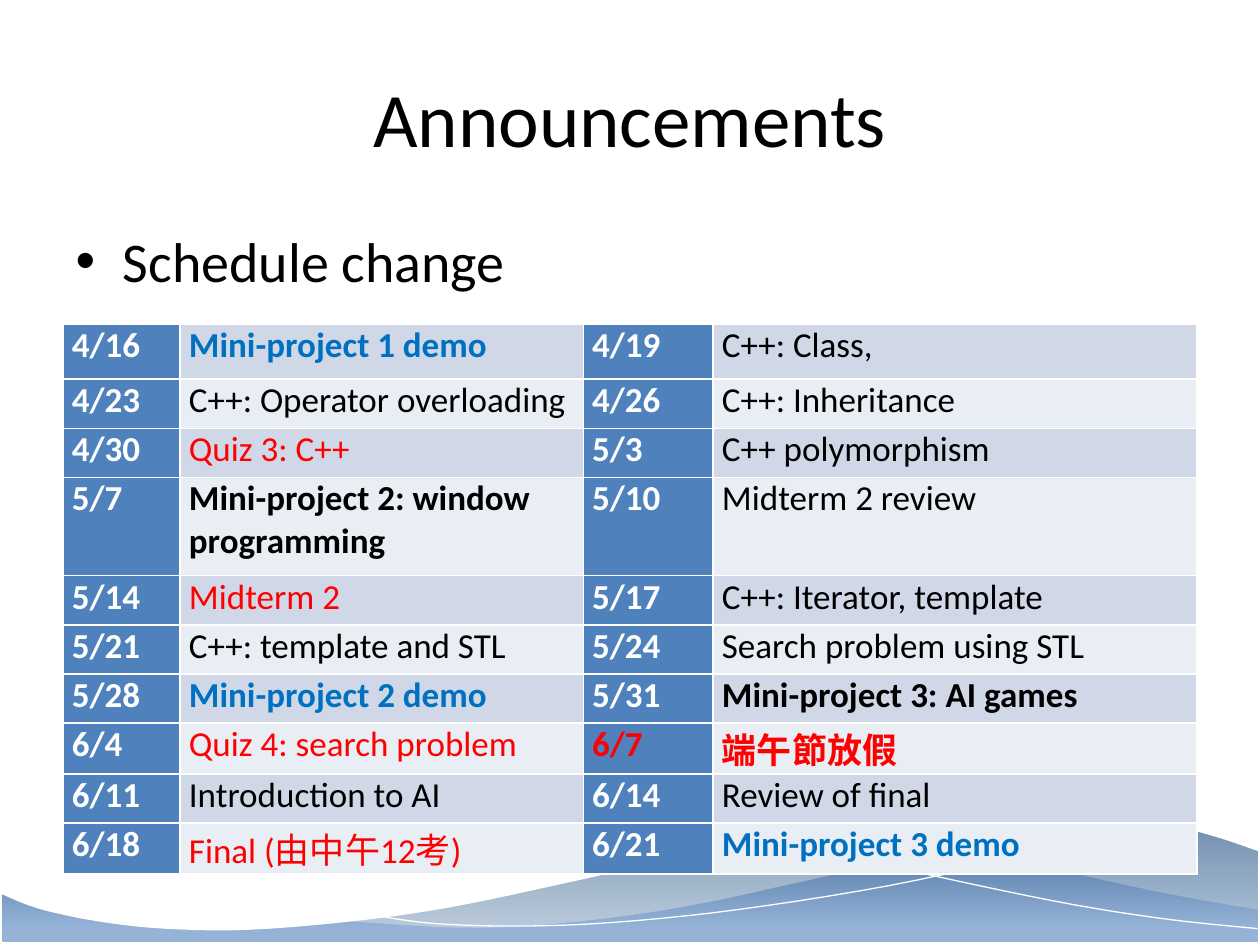
from dataclasses import dataclass

from lxml.etree import SubElement
from pptx import Presentation
from pptx.dml.color import RGBColor
from pptx.enum.shapes import MSO_SHAPE
from pptx.enum.text import MSO_ANCHOR
from pptx.oxml.ns import qn
from pptx.util import Inches, Pt


@dataclass(frozen=True)
class Theme:
    font: str = "Calibri"
    title_size: int = 44
    body_size: int = 32
    table_size: int = 20
    black: str = "000000"
    white: str = "FFFFFF"
    red: str = "FF0000"
    blue: str = "0070C0"
    date_fill: str = "4F81BD"
    bands: tuple = ("D0D8E8", "E9EDF4")
    sea_top: str = "376092"
    sea_bottom: str = "95B3D7"
    mist: str = "EEECE1"


@dataclass(frozen=True)
class Box:
    """An area on the slide grid of 10 columns by 7.5 rows, one inch each."""
    left: float
    top: float
    width: float
    height: float

    def at(self, column, row):
        return Inches(self.left + column), Inches(self.top + row)

    def frame(self):
        return (*self.at(0, 0), Inches(self.width), Inches(self.height))


THEME = Theme()
TITLE = Box(0.5, 0.3, 9, 1.25)
BODY = Box(0.5, 1.75, 9, 4.95)
SCHEDULE = Box(0.5, 2.57, 9, 4.33)
FOOTER = Box(0, 6, 10, 1.5)

# Entry kind: colour, bold
KINDS = {
    "lesson": (THEME.black, False),
    "exam": (THEME.red, False),
    "project": (THEME.black, True),
    "demo": (THEME.blue, True),
    "holiday": (THEME.red, True),
}
COLUMNS = (0.93, 3.2, 1.03, 3.84)
ROW = 0.39
ENTRIES = [
    (("4/16", "Mini-project 1 demo", "demo"), ("4/19", "C++: Class,", "lesson")),
    (("4/23", "C++: Operator overloading", "lesson"), ("4/26", "C++: Inheritance", "lesson")),
    (("4/30", "Quiz 3: C++", "exam"), ("5/3", "C++ polymorphism", "lesson")),
    (("5/7", "Mini-project 2: window programming", "project"),
     ("5/10", "Midterm 2 review", "lesson")),
    (("5/14", "Midterm 2", "exam"), ("5/17", "C++: Iterator, template", "lesson")),
    (("5/21", "C++: template and STL", "lesson"), ("5/24", "Search problem using STL", "lesson")),
    (("5/28", "Mini-project 2 demo", "demo"), ("5/31", "Mini-project 3: AI games", "project")),
    (("6/4", "Quiz 4: search problem", "exam"), ("6/7", "端午節放假", "holiday")),
    (("6/11", "Introduction to AI", "lesson"), ("6/14", "Review of final", "lesson")),
    (("6/18", "Final (由中午12考)", "exam"), ("6/21", "Mini-project 3 demo", "demo")),
]

# Wave strokes, in columns and rows from the footer's corner
RIGHT_MIST = [
    [(9.99, 1.22), (9.41, 1.12), (8.78, 0.99), (7.92, 0.79), (7.16, 0.65), (6.69, 0.57)],
    [(6.69, 0.57), (7.29, 0.49), (7.82, 0.45), (8.4, 0.45), (8.9, 0.48), (9.41, 0.57),
     (9.71, 0.65), (9.99, 0.75)],
]
LEFT_MIST = [
    [(9.12, 0.49), (8.22, 0.62), (7.53, 0.74), (6.35, 1), (5.57, 1.17), (4.88, 1.28),
     (4.16, 1.35), (3.54, 1.36), (2.76, 1.31)],
    [(2.76, 1.31), (3.55, 1.19), (4.47, 1), (5.31, 0.82), (6.06, 0.67), (6.73, 0.56),
     (7.47, 0.47), (8.1, 0.43), (8.65, 0.44), (9.12, 0.49)],
]
LONG_LINE = [[(3, 1.27), (3.45, 1.33), (4.12, 1.35), (4.88, 1.32), (5.85, 1.22),
              (7.05, 1.03), (8.09, 0.8), (9.27, 0.5)]]
SHORT_LINE = [[(6.19, 0.65), (6.8, 0.81), (7.59, 0.99), (8.52, 1.18), (9.3, 1.3), (9.98, 1.37)]]
WHITE_COVER = [
    [(10, 0.76), (9.61, 0.63), (9.18, 0.53), (8.67, 0.47), (8.07, 0.46), (7.37, 0.5),
     (6.54, 0.6), (5.57, 0.77), (4.44, 1.02), (3.58, 1.2), (2.82, 1.31), (1.97, 1.38),
     (1.29, 1.37), (0.76, 1.31), (0.3, 1.21), (0, 1.09)],
    [(0, -0.07), (10, -0.07)],
]


def color(code):
    return RGBColor.from_string(code)


def style(paragraph, size, code, bold=False):
    font = paragraph.font
    font.name, font.size, font.bold = THEME.font, Pt(size), bold
    font.color.rgb = color(code)


def smooth(stroke, steps=5):
    """Run a Catmull-Rom curve through the points of a stroke."""
    padded = [stroke[0], *stroke, stroke[-1]]
    curve = [stroke[0]]
    for a, b, c, d in zip(padded, padded[1:], padded[2:], padded[3:]):
        for step in range(1, steps + 1):
            t = step / steps
            curve.append(tuple(
                q + t / 2 * (r - p + t * (2 * p - 5 * q + 4 * r - s
                                          + t * (3 * (q - r) + s - p)))
                for p, q, r, s in zip(a, b, c, d)))
    return curve


def add_wave(slide, box, strokes, fill=None, alpha=None):
    """Draw a filled wave, or a white hairline when no fill is given."""
    start, *rest = [box.at(*point) for stroke in strokes for point in smooth(stroke)]
    builder = slide.shapes.build_freeform(*start)
    builder.add_line_segments(rest, close=fill is not None)
    wave = builder.convert_to_shape()
    wave.shadow.inherit = False
    if fill is None:
        wave.fill.background()
        wave.line.color.rgb = color(THEME.white)
        wave.line.width = Pt(0)
        return
    wave.fill.solid()
    wave.fill.fore_color.rgb = color(fill)
    wave.line.fill.background()
    if alpha:
        rgb = wave.fill._xPr.find(".//" + qn("a:srgbClr"))
        SubElement(rgb, qn("a:alpha"), val=str(alpha * 1000))


def add_footer(slide, box):
    # Blue sea
    sea = slide.shapes.add_shape(MSO_SHAPE.ROUNDED_RECTANGLE, *box.at(0.02, 0.43),
                                 Inches(box.width - 0.03), Inches(1.05))
    sea.adjustments[0] = 0.03
    sea.shadow.inherit = False
    sea.line.fill.background()
    sea.fill.gradient()
    sea.fill.gradient_angle = 270
    stops = zip(sea.fill.gradient_stops, (THEME.sea_top, THEME.sea_bottom), (0, 0.9))
    for stop, code, position in stops:
        stop.color.rgb, stop.position = color(code), position
    # Waves
    add_wave(slide, box, RIGHT_MIST, THEME.mist, 29)
    add_wave(slide, box, LEFT_MIST, THEME.mist, 40)
    add_wave(slide, box, LONG_LINE)
    add_wave(slide, box, SHORT_LINE)
    add_wave(slide, box, WHITE_COVER, THEME.white)


def fill_placeholder(slide, holder, box, text, size):
    holder.left, holder.top, holder.width, holder.height = box.frame()
    holder.text_frame.text = text
    style(holder.text_frame.paragraphs[0], size, THEME.black)
    slide.shapes._spTree.append(holder._element)  # in front of the footer


def fill_cell(cell, text, background, code, bold):
    cell.margin_left = cell.margin_right = Inches(0.07)
    cell.margin_top = cell.margin_bottom = 0
    cell.vertical_anchor = MSO_ANCHOR.TOP
    cell.text = text
    style(cell.text_frame.paragraphs[0], THEME.table_size, code, bold)
    for side in ("lnL", "lnR", "lnT", "lnB"):
        border = SubElement(cell._tc.get_or_add_tcPr(), qn(f"a:{side}"), w=str(Pt(1)))
        SubElement(SubElement(border, qn("a:solidFill")), qn("a:srgbClr"), val=THEME.white)
    cell.fill.solid()
    cell.fill.fore_color.rgb = color(background)


def add_schedule(slide, box):
    table = slide.shapes.add_table(len(ENTRIES), len(COLUMNS), *box.frame()).table
    table.first_row = table.horz_banding = False
    for column, width in zip(table.columns, COLUMNS):
        column.width = Inches(width)
    for index, entries in enumerate(ENTRIES):
        # The first row is a little taller; the two-line entry takes two rows
        table.rows[index].height = Inches({0: 0.44, 3: 2 * ROW}.get(index, ROW))
        for pair, (date, text, kind) in enumerate(entries):
            code, bold = KINDS[kind]
            date_color = THEME.red if kind == "holiday" else THEME.white
            fill_cell(table.cell(index, 2 * pair), date, THEME.date_fill, date_color, True)
            fill_cell(table.cell(index, 2 * pair + 1), text, THEME.bands[index % 2], code, bold)


def main():
    deck = Presentation()
    deck.slide_width, deck.slide_height = Inches(10), Inches(7.5)
    slide = deck.slides.add_slide(deck.slide_layouts[1])
    add_footer(slide, FOOTER)
    fill_placeholder(slide, slide.placeholders[1], BODY, "Schedule change", THEME.body_size)
    fill_placeholder(slide, slide.shapes.title, TITLE, "Announcements", THEME.title_size)
    add_schedule(slide, SCHEDULE)
    deck.save("out.pptx")


if __name__ == "__main__":
    main()
